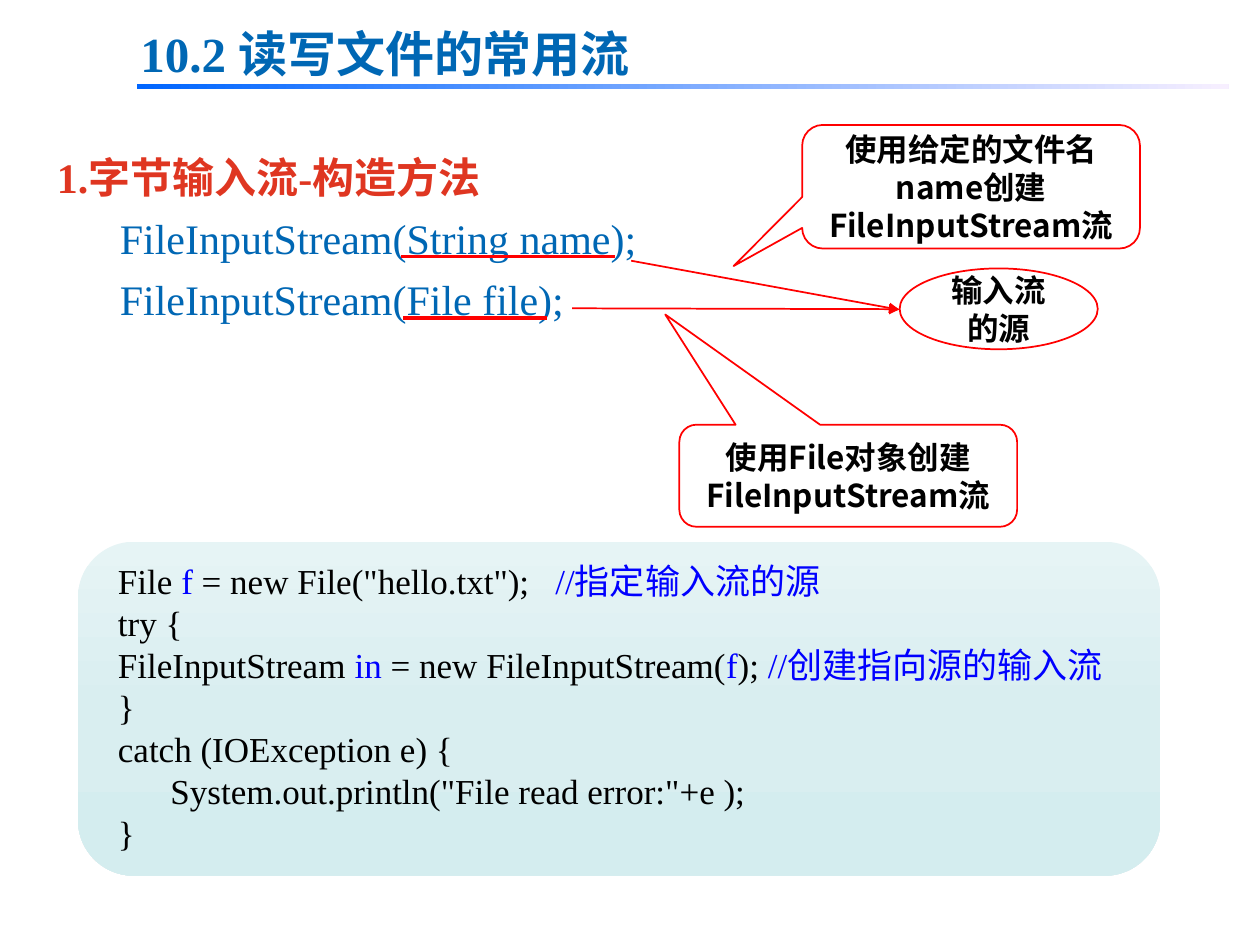
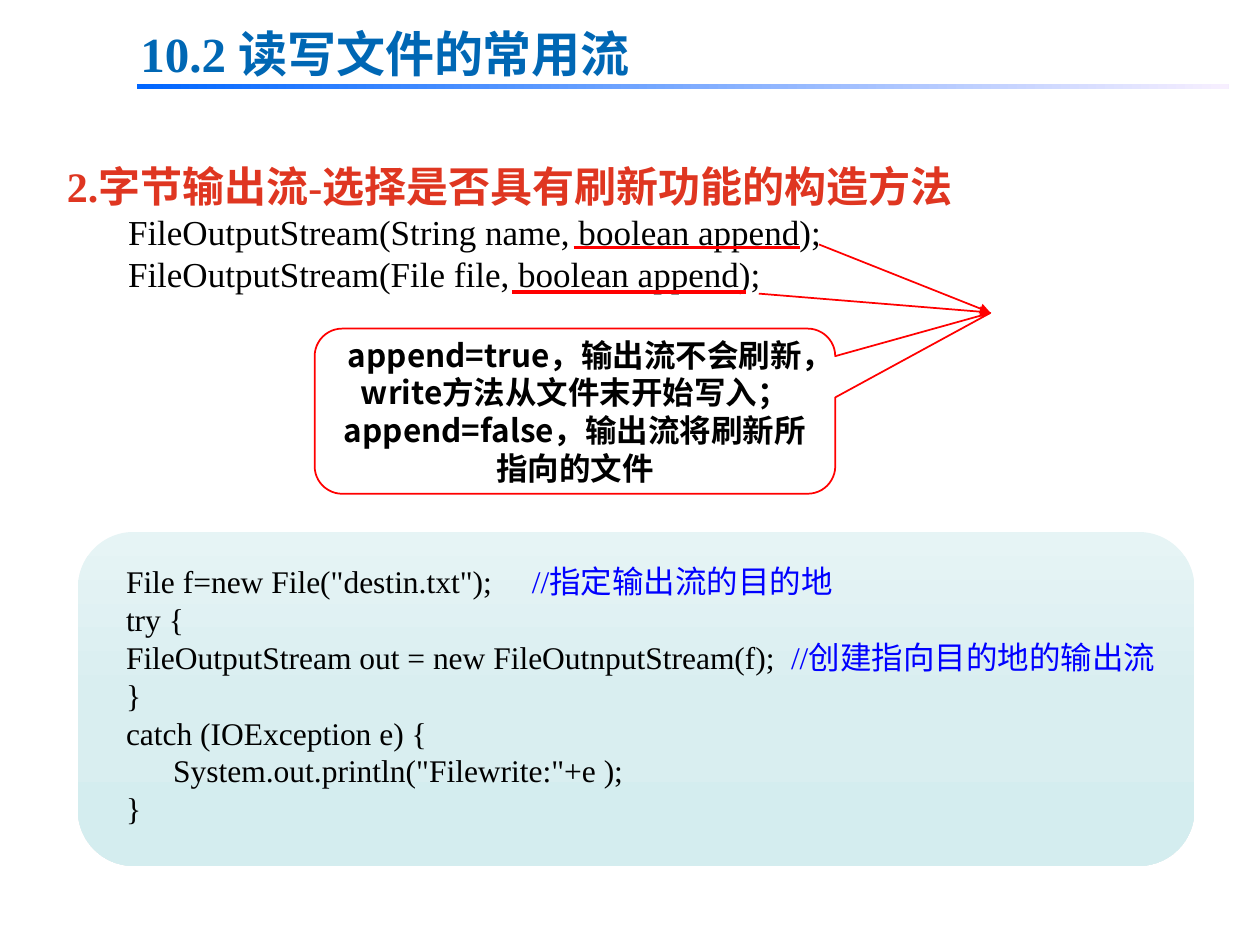
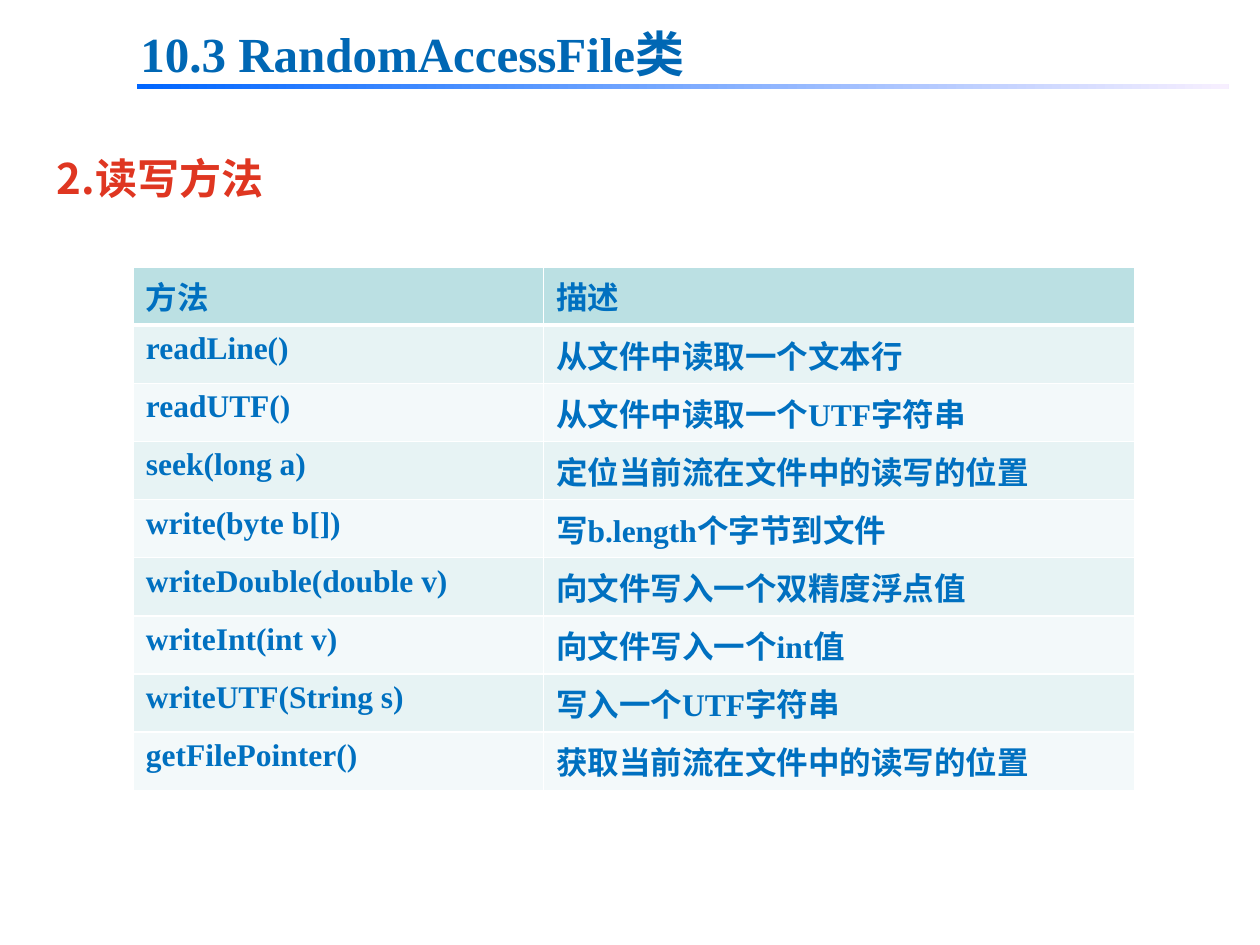
from copy import deepcopy
from dataclasses import dataclass

from lxml.etree import SubElement
from pptx import Presentation
from pptx.dml.color import RGBColor
from pptx.enum.shapes import MSO_CONNECTOR as Connector, MSO_SHAPE as Shape
from pptx.enum.text import MSO_ANCHOR as Anchor, PP_ALIGN as Align
from pptx.oxml.ns import qn
from pptx.util import Pt


@dataclass(frozen=True)
class Theme:
    serif: str = "Times New Roman"
    sans: str = "Noto Sans CJK SC"
    title: str = "0067B4"
    heading: str = "DF3621"
    ink: str = "000000"
    accent: str = "0000FF"
    mark: str = "FF0000"
    white: str = "FFFFFF"
    table_text: str = "0070C0"
    table_head: str = "BBE0E3"
    table_bands: tuple = ("E7F3F4", "F3F9FA")
    panel_stops: tuple = ("E6F4F5", "D9EEF0", "D4EDEF")
    band_stops: tuple = ("0066FF", "F7EFFF")
    title_size: float = 28
    heading_size: float = 24
    note_size: float = 18
    leading: float = 1.2


T = Theme()

TITLE_AREA = (73.2, 10.1, 366.5, 41)
TITLE_BAND = (78.1, 48.2, 624, 2.9)
DECLARATION_INDENT = 36

# In code lines, "|" switches between plain and accent colour.
STREAM_SLIDES = [
    dict(
        title="10.2 读写文件的常用流",
        heading="1.字节输入流-构造方法",
        declarations=["FileInputStream(String name);", "FileInputStream(File file);"],
        declaration_style=dict(size=24, color=T.title),
        declaration_leading=35,
        body_area=(25.4, 76.6, 703.4, 396.7),
        panel_area=(44.6, 309.6, 618.5, 190.8),
        code=[
            'File |f| = new File("hello.txt");\t|//指定输入流的源',
            "try {",
            "FileInputStream |in |= new FileInputStream(|f|); |//创建指向源的输入流",
            "}",
            "catch (IOException e) {",
            '      System.out.println("File read error:"+e );',
            "}",
        ],
        code_area=(42.2, 315.4, 620.6, 177.1),
        code_size=20,
        code_inset=25.2,
        tabs=[250],
        notes=[
            (Shape.ROUNDED_RECTANGULAR_CALLOUT, (458.4, 71.4, 193, 70.6),
             (-0.703, 0.642, 0.167), ["使用给定的文件名name创建FileInputStream流"]),
            (Shape.ROUNDED_RECTANGULAR_CALLOUT, (388.2, 242.7, 193, 58.3),
             (-0.542, -1.581, 0.167), ["使用File对象创建FileInputStream流"]),
            (Shape.OVAL, (514.1, 153.4, 113.2, 46.2), (), ["输入流的源"]),
        ],
        underlines=[(229.1, 351.4, 146.5), (230.4, 312.5, 181.8)],
        arrows=[(360.7, 149, 514, 177), (326.9, 176.2, 514, 176.7)],
    ),
    dict(
        title="10.2 读写文件的常用流",
        heading="2.字节输出流-选择是否具有刷新功能的构造方法",
        declarations=["FileOutputStream(String name, boolean append);",
                      "FileOutputStream(File file, boolean append);"],
        declaration_style=dict(size=20, color=T.ink),
        declaration_leading=23.8,
        body_area=(31.1, 82, 703.4, 306),
        panel_area=(44.6, 304, 637.9, 190.8),
        code=[
            'File f=new File("destin.txt");\t|//指定输出流的目的地',
            "try {",
            "FileOutputStream out = new FileOutnputStream(f);\t|//创建指向目的地的输出流",
            "}",
            "catch (IOException e) {",
            '      System.out.println("Filewrite:"+e );',
            "}",
        ],
        code_area=(64.9, 317.1, 617.8, 159.8),
        code_size=18,
        code_inset=7.2,
        tabs=[232, 380],
        notes=[
            (Shape.ROUNDED_RECTANGULAR_CALLOUT, (179.8, 187.8, 297.5, 94.4),
             (0.798, -0.595, 0.167),
             ["append=true，输出流不会刷新，write方法从文件末开始写入；",
              "append=false，输出流将刷新所指向的文件"]),
        ],
        underlines=[(327.8, 457.2, 141.5), (292.5, 426.2, 166.9)],
        arrows=[(468, 139.7, 565.9, 178.6), (433.6, 167.8, 565.9, 178.6)],
    ),
]

METHODS_SLIDE = dict(
    title="10.3 RandomAccessFile类",
    heading="2.读写方法",
    heading_area=(25.4, 77.3, 692, 47.5),
    table_origin=(76.2, 152.6),
    columns=(234.4, 338),
    row_height=33.24,
    rows=[
        ("方法", "描述"),
        ("readLine()", "从文件中读取一个文本行"),
        ("readUTF()", "从文件中读取一个UTF字符串"),
        ("seek(long a)", "定位当前流在文件中的读写的位置"),
        ("write(byte b[])", "写b.length个字节到文件"),
        ("writeDouble(double v)", "向文件写入一个双精度浮点值"),
        ("writeInt(int v)", "向文件写入一个int值"),
        ("writeUTF(String s)", "写入一个UTF字符串"),
        ("getFilePointer()", "获取当前流在文件中的读写的位置"),
    ],
)


def rgb(color):
    return RGBColor.from_string(color)


def points(values):
    return [Pt(value) for value in values]


def style_run(run, size, color, bold=False, face=T.serif):
    run.font.size = Pt(size)
    run.font.bold = bold
    run.font.color.rgb = rgb(color)
    run.font.name = face
    SubElement(run.font._element, qn("a:ea"), typeface=T.sans)


def write_line(paragraph, text, leading=None, **style):
    paragraph.text = text
    if leading:
        paragraph.line_spacing = Pt(leading)
    style_run(paragraph.runs[0], **style)


def next_paragraph(frame, index):
    return frame.add_paragraph() if index else frame.paragraphs[0]


def add_text_area(slide, area):
    frame = slide.shapes.add_textbox(*points(area)).text_frame
    frame.word_wrap = True
    return frame


def add_plain_shape(slide, kind, area):
    shape = slide.shapes.add_shape(kind, *points(area))
    shape.shadow.inherit = False
    return shape


def add_gradient_shape(slide, kind, area, colors, angle):
    """Spread the colours evenly; the angle runs counter-clockwise."""
    shape = add_plain_shape(slide, kind, area)
    shape.line.fill.background()
    shape.fill.gradient()
    shape.fill.gradient_angle = angle
    stop_list = shape._element.spPr.find(".//" + qn("a:gsLst"))
    while len(stop_list) < len(colors):
        stop_list.append(deepcopy(stop_list[0]))
    for index, (stop, color) in enumerate(zip(shape.fill.gradient_stops, colors)):
        stop.color.rgb = rgb(color)
        stop.position = index / (len(colors) - 1)


def add_title(slide, title):
    add_gradient_shape(slide, Shape.RECTANGLE, TITLE_BAND, T.band_stops, 0)
    frame = add_text_area(slide, TITLE_AREA)
    write_line(frame.paragraphs[0], title, T.title_size * T.leading,
               size=T.title_size, color=T.title, bold=True)


def add_heading(slide, area, heading, face=T.serif):
    frame = add_text_area(slide, area)
    write_line(frame.paragraphs[0], heading, leading=35, size=T.heading_size,
               color=T.heading, bold=True, face=face)
    return frame


def add_declarations(frame, content):
    indent = DECLARATION_INDENT - (content["declaration_style"]["size"] < 24)
    for declaration in content["declarations"]:
        paragraph = frame.add_paragraph()
        paragraph._p.get_or_add_pPr().set("marL", str(Pt(indent)))
        write_line(paragraph, declaration, content["declaration_leading"],
                   **content["declaration_style"])


def add_code(slide, content):
    frame = add_text_area(slide, content["code_area"])
    frame.vertical_anchor = Anchor.MIDDLE
    frame.margin_left = Pt(content["code_inset"])
    size = content["code_size"]
    for index, line in enumerate(content["code"]):
        paragraph = next_paragraph(frame, index)
        paragraph.line_spacing = Pt(size * T.leading)
        if "\t" in line:
            tab_list = SubElement(paragraph._p.get_or_add_pPr(), qn("a:tabLst"))
            for tab in content["tabs"]:
                SubElement(tab_list, qn("a:tab"), pos=str(Pt(tab)), algn="l")
        for part, text in enumerate(line.split("|")):
            run = paragraph.add_run()
            run.text = text
            style_run(run, size, T.accent if part % 2 else T.ink)


def add_note(slide, kind, area, adjustments, lines):
    note = add_plain_shape(slide, kind, area)
    for index, value in enumerate(adjustments):
        note.adjustments[index] = value
    note.fill.solid()
    note.fill.fore_color.rgb = rgb(T.white)
    note.line.color.rgb = rgb(T.mark)
    note.line.width = Pt(1)
    frame = note.text_frame
    frame.vertical_anchor = Anchor.MIDDLE
    for index, line in enumerate(lines):
        paragraph = next_paragraph(frame, index)
        paragraph.alignment = Align.CENTER
        write_line(paragraph, line, T.note_size * T.leading, size=T.note_size,
                   color=T.ink, bold=True, face=T.sans)


def add_mark_line(slide, ends, width, arrow=False):
    mark = slide.shapes.add_connector(Connector.STRAIGHT, *points(ends))
    mark.line.color.rgb = rgb(T.mark)
    mark.line.width = Pt(width)
    if arrow:
        SubElement(mark.line._get_or_add_ln(), qn("a:tailEnd"), type="triangle")
    SubElement(mark._element.spPr, qn("a:effectLst"))


def set_borders(cell, top, bottom):
    properties = cell._tc.get_or_add_tcPr()
    widths = (("L", 1), ("R", 1), ("T", top), ("B", bottom))
    for index, (side, width) in enumerate(widths):
        border = SubElement(properties, qn("a:ln" + side), w=str(Pt(width)))
        fill = SubElement(border, qn("a:solidFill"))
        SubElement(fill, qn("a:srgbClr"), val=T.white)
        properties.insert(index, border)


def add_methods_table(slide, content):
    rows, columns = content["rows"], content["columns"]
    size = (sum(columns), content["row_height"] * len(rows))
    table = slide.shapes.add_table(
        len(rows), len(columns), *points(content["table_origin"] + size)).table
    for column, width in zip(table.columns, columns):
        column.width = Pt(width)
    for row_index, row in enumerate(rows):
        table.rows[row_index].height = Pt(content["row_height"])
        shade = T.table_bands[(row_index - 1) % 2] if row_index else T.table_head
        for column_index, text in enumerate(row):
            cell = table.cell(row_index, column_index)
            write_line(cell.text_frame.paragraphs[0], text, size=T.note_size,
                       color=T.table_text, bold=True)
            cell.fill.solid()
            cell.fill.fore_color.rgb = rgb(shade)
            set_borders(cell, top=3 if row_index == 1 else 1,
                        bottom=1 if row_index else 3)


def build_stream_slide(slide, content):
    add_gradient_shape(slide, Shape.ROUNDED_RECTANGLE, content["panel_area"],
                       T.panel_stops, 270)
    body = add_heading(slide, content["body_area"], content["heading"])
    add_declarations(body, content)
    add_code(slide, content)
    for note in content["notes"]:
        add_note(slide, *note)
    for left, right, y in content["underlines"]:
        add_mark_line(slide, (left, y, right, y), 2)
    for ends in content["arrows"]:
        add_mark_line(slide, ends, 1, arrow=True)
    add_title(slide, content["title"])


def build_methods_slide(slide, content):
    add_heading(slide, content["heading_area"], content["heading"], T.sans)
    add_methods_table(slide, content)
    add_title(slide, content["title"])


def main():
    deck = Presentation()
    deck.slide_width, deck.slide_height = Pt(720), Pt(540)
    blank = deck.slide_layouts[6]
    for content in STREAM_SLIDES:
        build_stream_slide(deck.slides.add_slide(blank), content)
    build_methods_slide(deck.slides.add_slide(blank), METHODS_SLIDE)
    deck.save("out.pptx")


if __name__ == "__main__":
    main()
